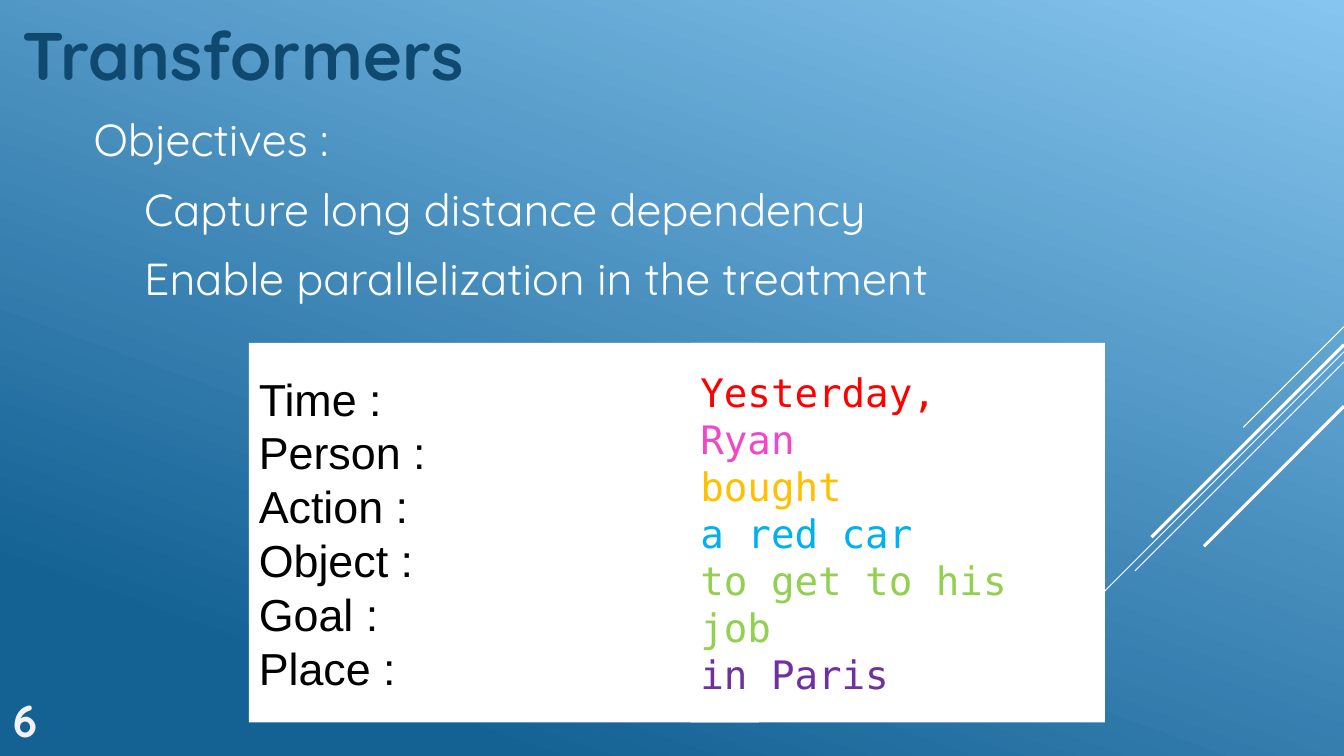
from dataclasses import dataclass

from lxml import etree
from pptx import Presentation
from pptx.dml.color import RGBColor
from pptx.enum import shapes, text
from pptx.util import Pt


@dataclass(frozen=True)
class Theme:
    heading_font: str = "Quicksand"
    label_font: str = "Arial"
    code_font: str = "DejaVu Sans Mono"
    title_size: int = 48
    body_size: int = 32
    code_size: int = 28
    sky: str = "86C5EF"
    deep: str = "146194"
    navy: str = "0F496F"
    white: str = "FFFFFF"
    pale: str = "F2F2F2"
    black: str = "000000"
    red: str = "FF0000"
    pink: str = "EF48C9"
    amber: str = "FFC000"
    blue: str = "00B0F0"
    green: str = "92D050"
    purple: str = "7030A0"


def rgb(value):
    return RGBColor.from_string(value)


class SlideBuilder:
    def __init__(self, prs, theme):
        self.theme = theme
        self.slide = prs.slides.add_slide(prs.slide_layouts[5])

    def background(self, angle, *stops):
        fill = self.slide.background.fill
        fill.gradient()
        fill.gradient_angle = angle
        for stop, (position, color) in zip(fill.gradient_stops, stops):
            stop.position = position
            stop.color.rgb = rgb(color)

    def line(self, x1, y1, x2, y2, width):
        line = self.slide.shapes.add_connector(
            shapes.MSO_CONNECTOR.STRAIGHT, Pt(x1), Pt(y1), Pt(x2), Pt(y2))
        line.line.color.rgb = rgb(self.theme.white)
        line.line.width = Pt(width)
        ns = "http://schemas.openxmlformats.org/drawingml/2006/main"
        etree.SubElement(line._element.spPr, f"{{{ns}}}effectLst")

    def set_text(self, sp, lines, font, size, bold=False, before=0, after=0, leading=None):
        """Fill a shape with (wording, color, left indent) paragraphs."""
        tf = sp.text_frame
        tf.word_wrap = True
        tf.auto_size = text.MSO_AUTO_SIZE.NONE
        tf.vertical_anchor = text.MSO_ANCHOR.MIDDLE
        for i, (wording, color, indent) in enumerate(lines):
            p = tf.add_paragraph() if i else tf.paragraphs[0]
            p.text = wording
            p.alignment = text.PP_ALIGN.LEFT
            p.space_before, p.space_after = Pt(before), Pt(after)
            if leading:
                p.line_spacing = Pt(leading)
            p.font.name, p.font.size, p.font.bold = font, Pt(size), bold
            p.font.color.rgb = rgb(color)
            if indent:
                p._p.get_or_add_pPr().set("marL", str(Pt(indent)))

    def title(self, wording, x, y, w, h):
        sp = self.slide.shapes.title
        sp.left, sp.top, sp.width, sp.height = Pt(x), Pt(y), Pt(w), Pt(h)
        self.set_text(sp, [(wording, self.theme.navy, 0)], self.theme.heading_font,
                      self.theme.title_size, bold=True, before=5, after=6)

    def textbox(self, lines, x, y, w, h, bold=False):
        sp = self.slide.shapes.add_textbox(Pt(x), Pt(y), Pt(w), Pt(h))
        self.set_text(sp, lines, self.theme.heading_font, self.theme.body_size,
                      bold, before=5, after=6)

    def panel(self, lines, x, y, w, h, font, size):
        sp = self.slide.shapes.add_shape(
            shapes.MSO_SHAPE.RECTANGLE, Pt(x), Pt(y), Pt(w), Pt(h))
        sp.shadow.inherit = False
        sp.fill.solid()
        sp.fill.fore_color.rgb = rgb(self.theme.white)
        sp.line.fill.background()
        self.set_text(sp, lines, font, size, leading=1.2 * size)


def main():
    prs = Presentation()
    prs.slide_width, prs.slide_height = Pt(960), Pt(540)
    t = Theme()
    s = SlideBuilder(prs, t)
    s.background(250, (0, t.sky), (0.85, t.deep))

    # Diagonals run at 45 degrees from the right edge: start height, run, width
    for y, run, width in [(233.3, 72, 0.75), (251.3, 234.9, 0.75),
                          (258.5, 149.3, 0.75), (246.2, 137.5, 2.25),
                          (290.2, 100, 2.25)]:
        s.line(960, y, 960 - run, y + run, width)

    s.title("Transformers", 8.6, 3.6, 754, 70)
    s.textbox([("Objectives :", t.white, 0),
               ("Capture long distance dependency", t.white, 36),
               ("Enable parallelization in the treatment", t.white, 36)],
              59.8, 73.4, 754, 150.5)

    roles = ["Time", "Person", "Action", "Object", "Goal", "Place"]
    s.panel([(f"{role} :", t.black, 0) for role in roles],
            177.8, 245, 364.3, 271, t.label_font, t.body_size)
    phrases = [("Yesterday,", t.red), ("Ryan", t.pink), ("bought", t.amber),
               ("a red car", t.blue), ("to get to his job", t.green),
               ("in Paris", t.purple)]
    s.panel([(phrase, color, 0) for phrase, color in phrases],
            493.2, 245, 296, 271, t.code_font, t.code_size)

    s.textbox([("6", t.pale, 0)], 2.2, 483, 78, 62, bold=True)
    prs.save("out.pptx")


if __name__ == "__main__":
    main()
